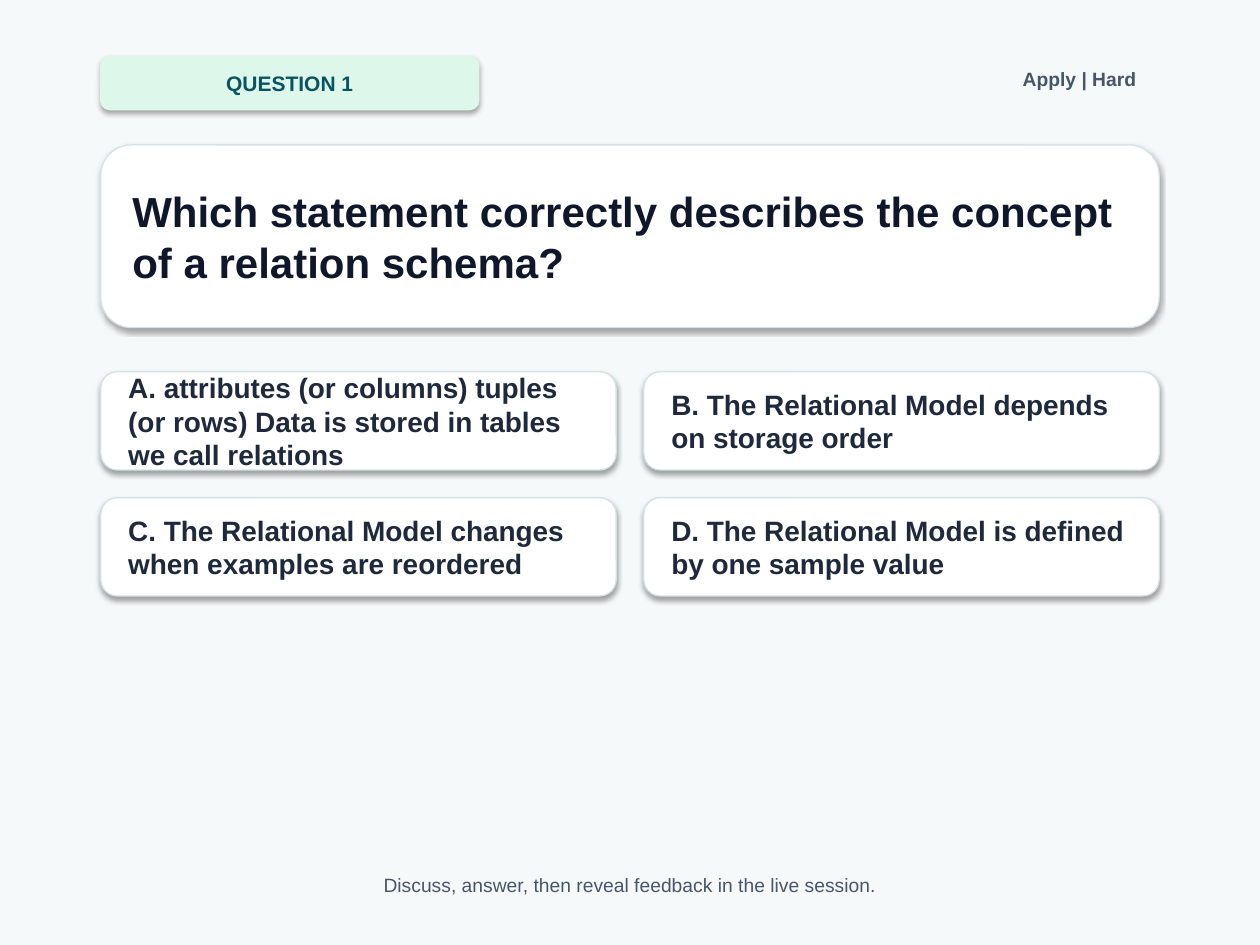
from dataclasses import dataclass

from pptx import Presentation
from pptx.dml.color import RGBColor
from pptx.enum.shapes import MSO_SHAPE as SHAPE
from pptx.enum.text import MSO_ANCHOR as ANCHOR, MSO_AUTO_SIZE as AUTO_SIZE, PP_ALIGN as ALIGN
from pptx.util import Inches, Pt


@dataclass(frozen=True)
class Theme:
    font: str = "Arial"
    page: str = "F6F9FA"
    badge: str = "DEF7EB"
    card: str = "FFFFFF"
    border: str = "D4E2E5"
    badge_text: str = "085461"
    muted: str = "475569"
    question: str = "0F172A"
    answer: str = "1E293B"
    badge_size: int = 12
    note_size: int = 11
    question_size: int = 24
    answer_size: int = 16


@dataclass(frozen=True)
class Box:
    left: float
    top: float
    width: float
    height: float

    def emu(self) -> tuple:
        return tuple(Inches(v) for v in (self.left, self.top, self.width, self.height))

    def inset(self, by: float) -> "Box":
        return Box(self.left + by, self.top + by, self.width - 2 * by, self.height - 2 * by)


@dataclass(frozen=True)
class Style:
    size: int
    color: str
    bold: bool = True
    align: ALIGN = ALIGN.LEFT
    anchor: ANCHOR = ANCHOR.MIDDLE


THEME = Theme()
MARGIN, CONTENT_W = 0.8, 8.4
ANSWER_W, ANSWER_H, ANSWER_TOP = 4.09, 0.78, 2.95
COLUMN_GAP, ROW_GAP = 0.22, 0.22
CORNER_INSET = 0.07  # room the question card's rounded corners take

QUESTION = "Which statement correctly describes the concept of a relation schema?"
ANSWERS = (
    "A. attributes (or columns) tuples (or rows) Data is stored in tables we call relations",
    "B. The Relational Model depends on storage order",
    "C. The Relational Model changes when examples are reordered",
    "D. The Relational Model is defined by one sample value",
)


def write(sp, text: str, style: Style) -> None:
    tf = sp.text_frame
    frame_format = {
        "word_wrap": True, "auto_size": AUTO_SIZE.NONE, "vertical_anchor": style.anchor,
        "margin_left": Inches(0.18), "margin_right": Inches(0.18),
        "margin_top": Inches(0.08), "margin_bottom": Inches(0.08),
    }
    for name, value in frame_format.items():
        setattr(tf, name, value)
    p = tf.paragraphs[0]
    p.alignment = style.align
    r = p.add_run()
    r.text = text
    for name, value in {"name": THEME.font, "size": Pt(style.size), "bold": style.bold}.items():
        setattr(r.font, name, value)
    r.font.color.rgb = RGBColor.from_string(style.color)


def add_panel(slide, box: Box, fill: str, line: str, shape: SHAPE = SHAPE.ROUNDED_RECTANGLE):
    """Add a filled panel that keeps the theme's soft shadow."""
    sp = slide.shapes.add_shape(shape, *box.emu())
    sp.fill.solid()
    sp.fill.fore_color.rgb = RGBColor.from_string(fill)
    sp.line.color.rgb = RGBColor.from_string(line)
    sp.line.width = Pt(0.75)
    return sp


def add_note(slide, box: Box, text: str, style: Style) -> None:
    write(slide.shapes.add_textbox(*box.emu()), text, style)


def add_question(slide, box: Box) -> None:
    add_panel(slide, box, THEME.card, THEME.border)
    title = slide.shapes.title
    title.left, title.top, title.width, title.height = box.inset(CORNER_INSET).emu()
    write(title, QUESTION, Style(THEME.question_size, THEME.question))
    slide.shapes._spTree.append(title._element)  # bring the title in front of its card


def add_answers(slide) -> None:
    style = Style(THEME.answer_size, THEME.answer)
    for i, text in enumerate(ANSWERS):
        row, column = divmod(i, 2)
        box = Box(MARGIN + column * (ANSWER_W + COLUMN_GAP),
                  ANSWER_TOP + row * (ANSWER_H + ROW_GAP), ANSWER_W, ANSWER_H)
        write(add_panel(slide, box, THEME.card, THEME.border), text, style)


def main() -> None:
    prs = Presentation()
    prs.slide_width, prs.slide_height = Inches(10), Inches(7.5)
    slide = prs.slides.add_slide(prs.slide_layouts[5])

    add_panel(slide, Box(0, 0, 10, 7.5), THEME.page, THEME.page, SHAPE.RECTANGLE)
    badge = add_panel(slide, Box(MARGIN, 0.45, 3, 0.42), THEME.badge, THEME.badge)
    write(badge, "QUESTION 1", Style(THEME.badge_size, THEME.badge_text, align=ALIGN.CENTER))
    add_note(slide, Box(6, 0.45, 3.2, 0.42), "Apply | Hard",
             Style(THEME.note_size, THEME.muted, align=ALIGN.RIGHT, anchor=ANCHOR.TOP))
    add_question(slide, Box(MARGIN, 1.15, CONTENT_W, 1.45))
    add_answers(slide)
    add_note(slide, Box(MARGIN, 6.85, CONTENT_W, 0.28),
             "Discuss, answer, then reveal feedback in the live session.",
             Style(THEME.note_size, THEME.muted, False, ALIGN.CENTER, ANCHOR.TOP))
    prs.save("out.pptx")


if __name__ == "__main__":
    main()
